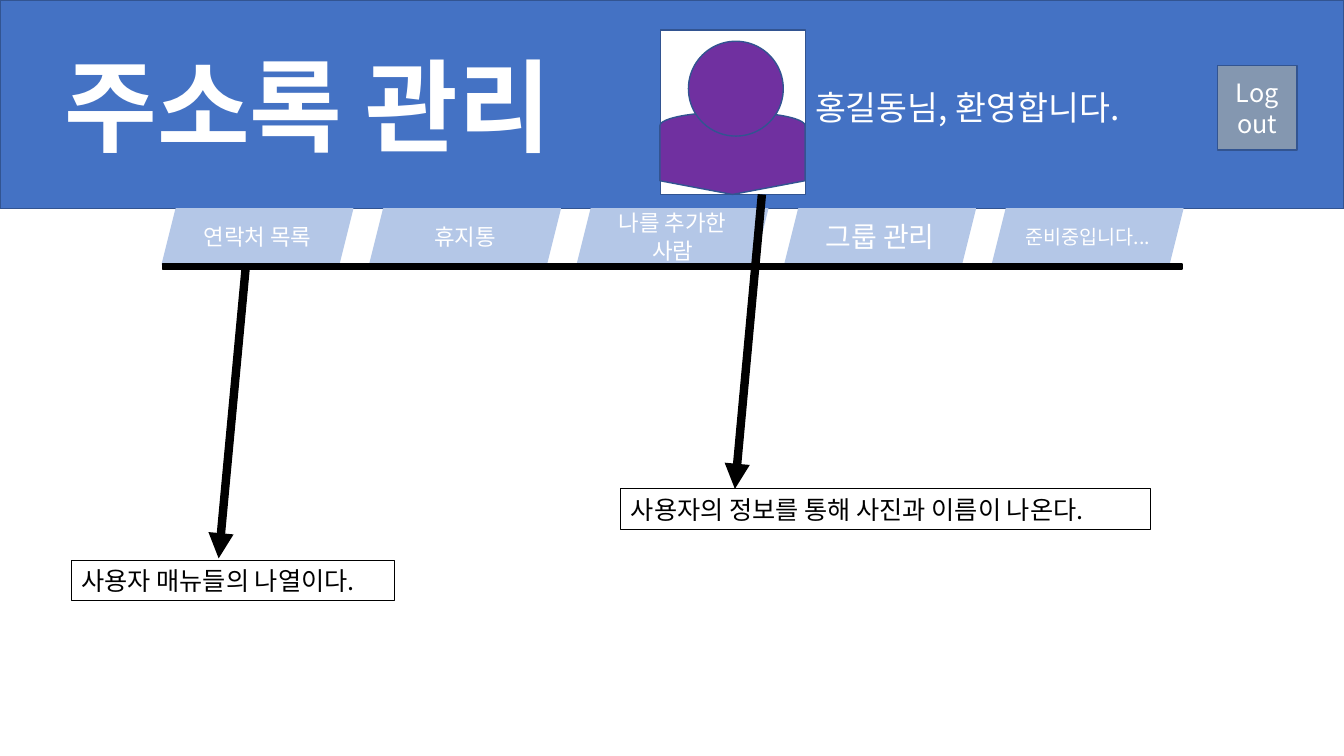
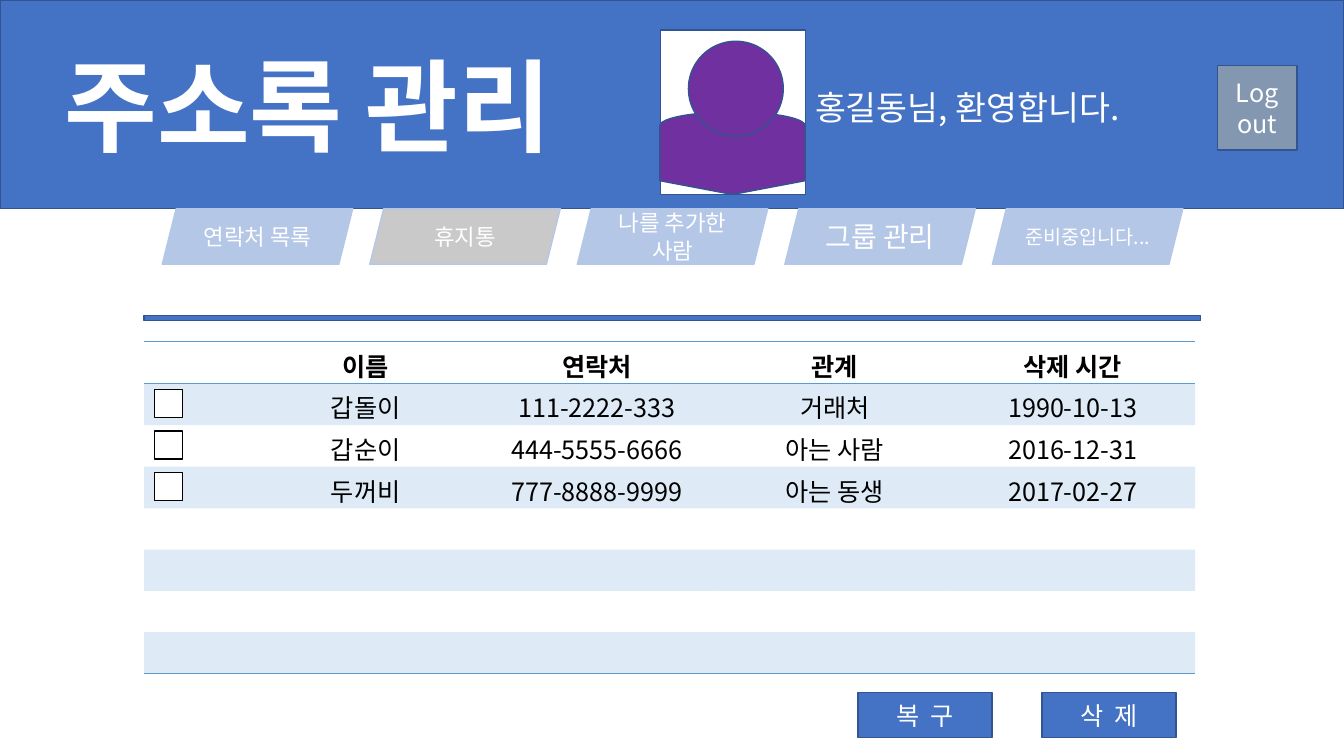
import lxml.etree
import pptx
import pptx.dml.color
import pptx.enum.shapes
import pptx.enum.text
import pptx.oxml.ns
import pptx.util

Cm = pptx.util.Cm
Pt = pptx.util.Pt
SHAPE = pptx.enum.shapes.MSO_SHAPE
ALIGN = pptx.enum.text.PP_ALIGN
MIDDLE = pptx.enum.text.MSO_ANCHOR.MIDDLE

FONT = "Noto Sans CJK KR"
BLUE, OUTLINE, TAB, ACTIVE_TAB = "4472C4", "325491", "B4C7E7", "C9C9C9"
PURPLE, SLATE, TABLE_BLUE = "7030A0", "8497B0", "5B9BD5"
BLACK, WHITE = "000000", "FFFFFF"
NO_STYLE = "{2D5ABB26-0587-4C30-8999-92F81FD0307C}"

SLIDE_WIDTH, SLIDE_HEIGHT, BAND_HEIGHT = 33.87, 19.05, 5.26
TAB_LEFT, TAB_STEP, TAB_WIDTH, TAB_HEIGHT = 4.09, 5.23, 4.8, 1.4
TABS = [("연락처 목록", 16), ("휴지통", 16), ("나를 추가한 사람", 16),
        ("그룹 관리", 20), ("준비중입니다...", 14)]

TABLE_LEFT, TABLE_TOP, ROW_HEIGHT, ROW_COUNT = 3.63, 8.61, 1.04, 8
COLUMN_WIDTHS = [2.84, 5.49, 6.17, 5.82, 6.17]
HEADINGS = ["", "이름", "연락처", "관계", "삭제 시간"]
CONTACTS = [
    ["", "갑돌이", "111-2222-333", "거래처", "1990-10-13"],
    ["", "갑순이", "444-5555-6666", "아는 사람", "2016-12-31"],
    ["", "두꺼비", "777-8888-9999", "아는 동생", "2017-02-27"],
]


def rgb(value):
    """Turn a hex string into a colour."""
    return pptx.dml.color.RGBColor.from_string(value)


def add_xml(parent, tag, **attributes):
    """Append a DrawingML element to parent and return it."""
    return lxml.etree.SubElement(parent, pptx.oxml.ns.qn(tag), attributes)


def write(frame, text, size, color, align=ALIGN.CENTER, bold=False,
          tight=False, tracking=None):
    """Fill a text frame; tight fixes the line pitch for wrapped lines."""
    frame.text = text
    for paragraph in frame.paragraphs:
        paragraph.alignment = align
        if tight:
            paragraph.line_spacing = Pt(round(size * 1.22, 1))
        for run in paragraph.runs:
            run.font.size = Pt(size)
            run.font.bold = bold
            run.font.name = FONT
            run.font.color.rgb = rgb(color)
            properties = run.font._element
            add_xml(properties, "a:ea", typeface=FONT)
            if tracking:
                properties.set("spc", str(tracking))


def settle(frame, wrap):
    """Centre a frame vertically and keep its box at a fixed size."""
    frame.auto_size = pptx.enum.text.MSO_AUTO_SIZE.NONE
    frame.vertical_anchor = MIDDLE
    frame.word_wrap = wrap


def add_panel(slide, box, fill, line=OUTLINE, kind=SHAPE.RECTANGLE, weight=1):
    """Add a flat preset shape; box is left, top, width, height in cm."""
    panel = slide.shapes.add_shape(kind, *map(Cm, box))
    panel.shadow.inherit = False
    if fill:
        panel.fill.solid()
        panel.fill.fore_color.rgb = rgb(fill)
    else:
        panel.fill.background()
    panel.line.color.rgb = rgb(line)
    panel.line.width = Pt(weight)
    settle(panel.text_frame, True)
    return panel


def add_callout(slide, box, text):
    """Add an outlined explanation."""
    callout = add_panel(slide, box, None, BLACK, weight=0.75)
    settle(callout.text_frame, False)
    write(callout.text_frame, text, 18, BLACK, ALIGN.LEFT)


def add_arrow(slide, start, end):
    """Add a thick black arrow between two points in cm."""
    arrow = slide.shapes.add_connector(
        pptx.enum.shapes.MSO_CONNECTOR.STRAIGHT, *map(Cm, start + end))
    arrow.line.color.rgb = rgb(BLACK)
    arrow.line.width = Pt(6)
    add_xml(arrow.line._get_or_add_ln(), "a:tailEnd", type="triangle")
    add_xml(arrow._element.spPr, "a:effectLst")


def add_title(slide):
    """Place the title placeholder over the blue band."""
    title = slide.shapes.title
    band = add_panel(slide, (0, 0, SLIDE_WIDTH, BAND_HEIGHT), BLUE)
    title._element.addprevious(band._element)
    title.left, title.top, title.width, title.height = map(
        Cm, (1.37, 0.97, 14.25, 3.33))
    settle(title.text_frame, False)
    write(title.text_frame, "주소록 관리", 72, WHITE, ALIGN.LEFT, bold=True)


def add_avatar(slide):
    """Draw the user's portrait symbol."""
    add_panel(slide, (16.64, 0.76, 3.66, 4.14), WHITE)
    shoulders = add_panel(slide, (17.42, 2.03, 2.08, 3.66), PURPLE,
                          kind=SHAPE.FLOWCHART_DISPLAY)
    shoulders.rotation = 270
    add_panel(slide, (17.35, 1.04, 2.39, 2.39), PURPLE, kind=SHAPE.OVAL)


def add_tabs(slide, active):
    """Add the row of menu tabs, greying the active one."""
    for index, (label, size) in enumerate(TABS):
        box = (TAB_LEFT + index * TAB_STEP, BAND_HEIGHT, TAB_WIDTH, TAB_HEIGHT)
        fill = ACTIVE_TAB if label == active else TAB
        tab = add_panel(slide, box, fill, TAB, SHAPE.PARALLELOGRAM)
        write(tab.text_frame, label, size, WHITE, tight=True)


def add_page(deck, active=None):
    """Add a slide with the shared header and menu."""
    slide = deck.slides.add_slide(deck.slide_layouts[5])
    add_title(slide)
    greeting = slide.shapes.add_textbox(*map(Cm, (20.29, 2.06, 9.83, 1.27)))
    settle(greeting.text_frame, True)
    write(greeting.text_frame, "홍길동님, 환영합니다.", 24, WHITE, ALIGN.LEFT)
    logout = add_panel(slide, (30.68, 1.65, 2.01, 2.13), SLATE)
    write(logout.text_frame, "Log\nout", 18, WHITE, tight=True)
    add_tabs(slide, active)
    add_avatar(slide)
    return slide


def format_cell(cell, row):
    """Apply the horizontal rules, banding and margins of a table row."""
    properties = cell._tc.get_or_add_tcPr()
    edges = {0: ["a:lnT", "a:lnB"], ROW_COUNT - 1: ["a:lnB"]}
    for edge in edges.get(row, []):
        border = add_xml(properties, edge, w=str(Pt(1)))
        add_xml(add_xml(border, "a:solidFill"), "a:srgbClr", val=TABLE_BLUE)
    if row % 2:
        cell.fill.solid()
        cell.fill.fore_color.rgb = rgb(TABLE_BLUE)
        for tint in properties.findall(
                pptx.oxml.ns.qn("a:solidFill") + "/" + pptx.oxml.ns.qn("a:srgbClr")):
            add_xml(tint, "a:alpha", val="20000")
    else:
        cell.fill.background()
    cell.margin_top, cell.margin_bottom = Cm(0.13), Cm(0)


def add_contacts(slide):
    """Add the table of deleted contacts with a checkbox per contact."""
    frame = slide.shapes.add_table(
        ROW_COUNT, len(COLUMN_WIDTHS), Cm(TABLE_LEFT), Cm(TABLE_TOP),
        Cm(sum(COLUMN_WIDTHS)), Cm(ROW_COUNT * ROW_HEIGHT))
    contacts = frame.table
    contacts.first_row = contacts.horz_banding = False
    contacts._tbl.tblPr.find(pptx.oxml.ns.qn("a:tableStyleId")).text = NO_STYLE
    for column, width in zip(contacts.columns, COLUMN_WIDTHS):
        column.width = Cm(width)
    for row in range(ROW_COUNT):
        contacts.rows[row].height = Cm(ROW_HEIGHT)
        for cell in contacts.rows[row].cells:
            format_cell(cell, row)
    for row, entries in enumerate([HEADINGS] + CONTACTS):
        for column, entry in enumerate(entries):
            if entry:
                write(contacts.cell(row, column).text_frame, entry, 18, BLACK,
                      bold=row == 0)
    for index in range(len(CONTACTS)):
        top = TABLE_TOP + (index + 1) * ROW_HEIGHT + 0.17
        add_panel(slide, (3.89, top, 0.71, 0.71), WHITE, BLACK)


def build_menu_slide(deck):
    """Explain the menu and the user information."""
    slide = add_page(deck)
    add_arrow(slide, (6.2, 6.65), (5.51, 14.07))
    add_callout(slide, (15.65, 12.32, 13.34, 1.02),
                "사용자의 정보를 통해 사진과 이름이 나온다.")
    add_panel(slide, (TAB_LEFT, 6.65, 25.7, 0.13), BLACK, BLACK)
    add_callout(slide, (1.8, 14.12, 8.15, 1.02), "사용자 매뉴들의 나열이다.")
    add_arrow(slide, (19.2, 4.9), (18.52, 12.32))


def build_trash_slide(deck):
    """Show the trash list with its restore and delete buttons."""
    slide = add_page(deck, active="휴지통")
    add_panel(slide, (TABLE_LEFT, 7.95, 26.62, 0.13), BLUE)
    add_contacts(slide)
    for left, label in [(21.62, "복 구"), (26.26, "삭 제")]:
        button = add_panel(slide, (left, 17.45, 3.38, 1.14), BLUE)
        write(button.text_frame, label, 18, WHITE, tracking=200)


def main():
    """Build and save the deck."""
    deck = pptx.Presentation()
    deck.slide_width, deck.slide_height = Cm(SLIDE_WIDTH), Cm(SLIDE_HEIGHT)
    build_menu_slide(deck)
    build_trash_slide(deck)
    deck.save("out.pptx")


main()
